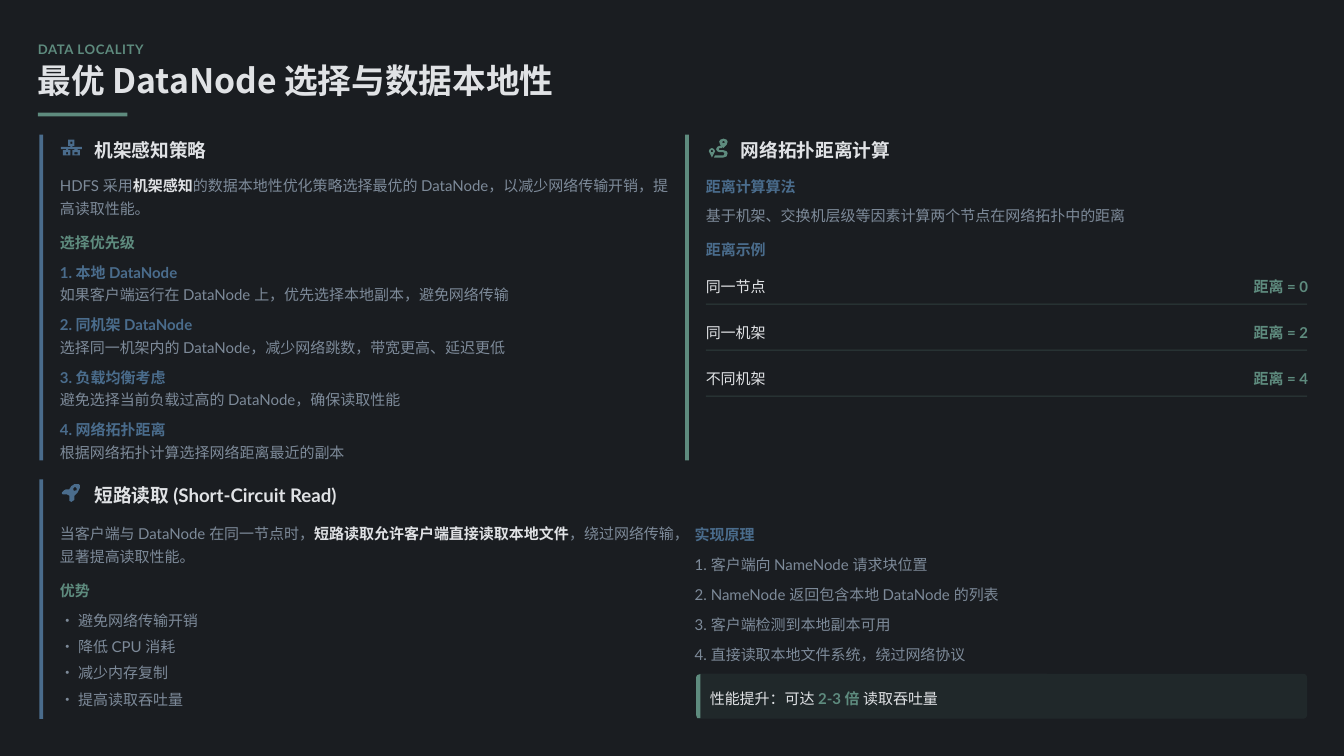
from dataclasses import dataclass
from math import cos, pi, sin

from lxml import etree
from pptx import Presentation
from pptx.dml.color import RGBColor
from pptx.enum import shapes, text
from pptx.oxml import ns
from pptx.util import Pt


@dataclass(frozen=True)
class Theme:
    bg: str = "1A1D21"
    white: str = "E0E2E5"
    grey: str = "7D8A99"
    green: str = "5E8B7E"
    blue: str = "4A6C8C"
    latin: str = "Lato"
    cjk: str = "Noto Sans CJK SC"
    kicker: float = 12.5
    title: float = 32.1
    heading: float = 17.8
    body: float = 14.3


T = Theme()
prs = Presentation()
prs.slide_width, prs.slide_height = Pt(1280), Pt(720)
s = prs.slides.add_slide(prs.slide_layouts[6])
s.background.fill.solid()
s.background.fill.fore_color.rgb = RGBColor.from_string(T.bg)


def write(x, y, w, h, *runs, size=T.body, font=T.latin, spacing=1.3, align="LEFT"):
    """Add a text box; each run is (words, colour, bold). Returns its paragraph."""
    tf = s.shapes.add_textbox(Pt(x), Pt(y), Pt(w), Pt(h)).text_frame
    tf.word_wrap = True
    tf.vertical_anchor = text.MSO_ANCHOR.MIDDLE
    tf.margin_left = tf.margin_right = tf.margin_top = tf.margin_bottom = 0
    p = tf.paragraphs[0]
    p.line_spacing = spacing
    p.alignment = text.PP_ALIGN[align]
    for words, color, bold in runs:
        r = p.add_run()
        r.text = words
        r.font.size, r.font.bold, r.font.name = Pt(size), bold, font
        r.font.color.rgb = RGBColor.from_string(color)
        etree.SubElement(r.font._element, ns.qn("a:ea"), typeface=T.cjk)
    return p


def paint(sp, color):
    sp.shadow.inherit = False
    sp.fill.solid()
    sp.fill.fore_color.rgb = RGBColor.from_string(color)
    sp.line.fill.background()


# Title
p = write(36, 36, 1214, 18, ("DATA LOCALITY", T.green, True), size=T.kicker, spacing=1.2)
p.runs[0].font._element.set("spc", "60")
write(36, 60.5, 1224, 36, ("最优 DataNode 选择与数据本地性", T.white, True),
      size=T.title, font=T.cjk, spacing=0.9)

# Title underline and panel bars
for x, y, w, h, color in [
    (36, 107.3, 85.4, 3.6, T.green),
    (37.4, 128.2, 3.6, 310.3, T.blue),
    (652.6, 128.2, 3.6, 310.3, T.green),
    (37.4, 456.5, 3.6, 228.2, T.blue),
]:
    paint(s.shapes.add_shape(shapes.MSO_SHAPE.RECTANGLE, Pt(x), Pt(y), Pt(w), Pt(h)), color)

# Panel headings
for x, y, w, words in [
    (90, 128.2, 116, "机架感知策略"),
    (705.6, 128.2, 151, "网络拓扑距离计算"),
    (90, 456.5, 248.4, "短路读取 (Short-Circuit Read)"),
]:
    write(x, y, w, 25, (words, T.white, True), size=T.heading, spacing=1.2)

# Icons: closed outlines in points from each icon's corner; inner outlines are holes
network_boxes = [
    (6.5, 0, 13, 5.8), (8.6, 1.6, 10.9, 3.9),
    (2.2, 10, 8.6, 15.1), (4.3, 11.5, 6.5, 13.6),
    (11, 10, 17.4, 15.1), (13.1, 11.5, 15.3, 13.6),
    (0, 6.4, 20, 8.6), (8.7, 5.8, 10.8, 6.4),
    (4.3, 8.6, 6.5, 10), (13.1, 8.6, 15.3, 10),
]
network = [[(l, t), (r, t), (r, b), (l, b)] for l, t, r, b in network_boxes]
pin_holes, window = [
    [[(cx + radius * cos(k * pi / 8), cy + radius * sin(k * pi / 8)) for k in range(16)]
     for cx, cy, radius in circles]
    for circles in ([(14.4, 3.6, 1.1), (3.2, 12.3, 1.1)], [(12.4, 5.6, 1.7)])
]
route = [
    [(18, 3.6), (16.9, 6), (14.4, 9.4), (11.9, 6), (10.8, 3.6), (11.7, 1.2), (14.4, 0), (17, 1.2)],
    [(6.4, 12.3), (5.5, 14.7), (3.2, 18), (1, 14.7), (0, 12.3), (0.9, 10), (3.2, 9), (5.5, 10)],
    [(13.4, 9.4), (10.8, 9.4), (10.1, 10.3), (10.8, 11.4), (14.4, 11.4), (17, 12.4), (18, 14.6),
     (17, 17), (14.4, 18), (5, 18), (6.5, 15.8), (14.4, 15.8), (15.7, 14.6), (14.4, 13.6),
     (10.8, 13.6), (8.6, 12.6), (7.9, 10.2), (8.8, 8), (10.8, 7), (12.3, 7)],
] + pin_holes
rocket = [
    [(5, 10.6), (1.4, 10.6), (0.2, 9.8), (0.3, 8.8), (2.2, 6.4), (3.6, 5.6), (6.5, 5.6), (9, 2.6),
     (12, 1.2), (16, 1.2), (16.8, 2), (17, 5), (15.5, 9), (12.4, 11.6), (12.4, 14.5),
     (11.6, 15.8), (8.7, 17.8), (7.4, 16.8), (7.4, 13), (6.6, 11.4)],
] + window
callout_accent = [[(3.6, 0), (3.6, 42.8), (1, 41.8), (0, 39.2), (0, 3.6), (1, 1)]]
for x, y, outlines, color in [
    (58.3, 133.2, network, T.blue),
    (674.6, 131.8, route, T.green),
    (59, 460.2, rocket, T.blue),
    (663.2, 641.7, callout_accent, T.green),
]:
    fb = None
    for outline in outlines:
        points = [(x + dx, y + dy) for dx, dy in outline]
        if fb is None:
            fb = s.shapes.build_freeform(*points[0], scale=Pt(1))
        else:
            fb.move_to(*points[0])
        fb.add_line_segments(points[1:], close=True)
    paint(fb.convert_to_shape(), color)

# Rack awareness
write(57, 164, 579.6, 42.6, ("HDFS 采用", T.grey, False), ("机架感知", T.white, True),
      ("的数据本地性优化策略选择最优的 DataNode，以减少网络传输开销，提高读取性能。", T.grey, False))
write(57, 217.4, 579.6, 21.4, ("选择优先级", T.green, True))
for i, (name, reason) in enumerate([
    ("本地 DataNode", "如果客户端运行在 DataNode 上，优先选择本地副本，避免网络传输"),
    ("同机架 DataNode", "选择同一机架内的 DataNode，减少网络跳数，带宽更高、延迟更低"),
    ("负载均衡考虑", "避免选择当前负载过高的 DataNode，确保读取性能"),
    ("网络拓扑距离", "根据网络拓扑计算选择网络距离最近的副本"),
]):
    y = 246.1 + 49.9 * i
    write(57, y, 579.6, 21.4, (f"{i + 1}. {name}", T.blue, True))
    write(57, y + 21.4, 579.6, 21.4, (reason, T.grey, False))

# Topology distance
write(672.2, 164, 579.6, 21.4, ("距离计算算法", T.blue, True))
write(672.2, 192.4, 579.6, 21.4,
      ("基于机架、交换机层级等因素计算两个节点在网络拓扑中的距离", T.grey, False))
write(672.2, 224.4, 579.6, 21.4, ("距离示例", T.blue, True))
for i, place in enumerate(["同一节点", "同一机架", "不同机架"]):
    y = 260 + 43.8 * i
    rule = s.shapes.add_connector(shapes.MSO_CONNECTOR.STRAIGHT,
                                  Pt(672.2), Pt(y + 29.6), Pt(1244.9), Pt(y + 29.6))
    rule.line.width = Pt(1)
    rule.line.color.rgb = RGBColor.from_string(T.green)
    color_el = rule._element.find(".//" + ns.qn("a:srgbClr"))
    etree.SubElement(color_el, ns.qn("a:alpha"), val="30000")
    etree.SubElement(rule._element.spPr, ns.qn("a:effectLst"))
    write(672.2, y, 64, 21.4, (place, T.white, False))
    write(1184.6, y, 61.2, 21.4, (f"距离 = {2 * i}", T.green, True), align="RIGHT")

# Short-circuit read
write(57, 495.4, 590.4, 42.6, ("当客户端与 DataNode 在同一节点时，", T.grey, False),
      ("短路读取允许客户端直接读取本地文件", T.white, True),
      ("，绕过网络传输，显著提高读取性能。", T.grey, False))
write(57, 549.2, 590.4, 21.4, ("优势", T.green, True))
for i, gain in enumerate(["避免网络传输开销", "降低 CPU 消耗", "减少内存复制", "提高读取吞吐量"]):
    write(57, 577.6 + 25 * i, 590.4, 21.4, (f"• {gain}", T.grey, False))

write(661.7, 495.4, 590.4, 21.4, ("实现原理", T.blue, True))
for i, step in enumerate([
    "客户端向 NameNode 请求块位置",
    "NameNode 返回包含本地 DataNode 的列表",
    "客户端检测到本地副本可用",
    "直接读取本地文件系统，绕过网络协议",
]):
    write(661.7, 524.2 + 28.5 * i, 590.4, 21.4, (f"{i + 1}. {step}", T.grey, False))

# Throughput callout
callout = s.shapes.add_shape(shapes.MSO_SHAPE.ROUNDED_RECTANGLE,
                             Pt(663.2), Pt(641.7), Pt(581.6), Pt(42.8))
callout.adjustments[0] = 0.08
paint(callout, T.green)
color_el = callout._element.spPr.find(".//" + ns.qn("a:srgbClr"))
etree.SubElement(color_el, ns.qn("a:alpha"), val="10000")
write(676, 652.4, 565.2, 21.4, ("性能提升：可达 ", T.white, False),
      ("2-3 倍", T.green, True), (" 读取吞吐量", T.white, False))

prs.save("out.pptx")
